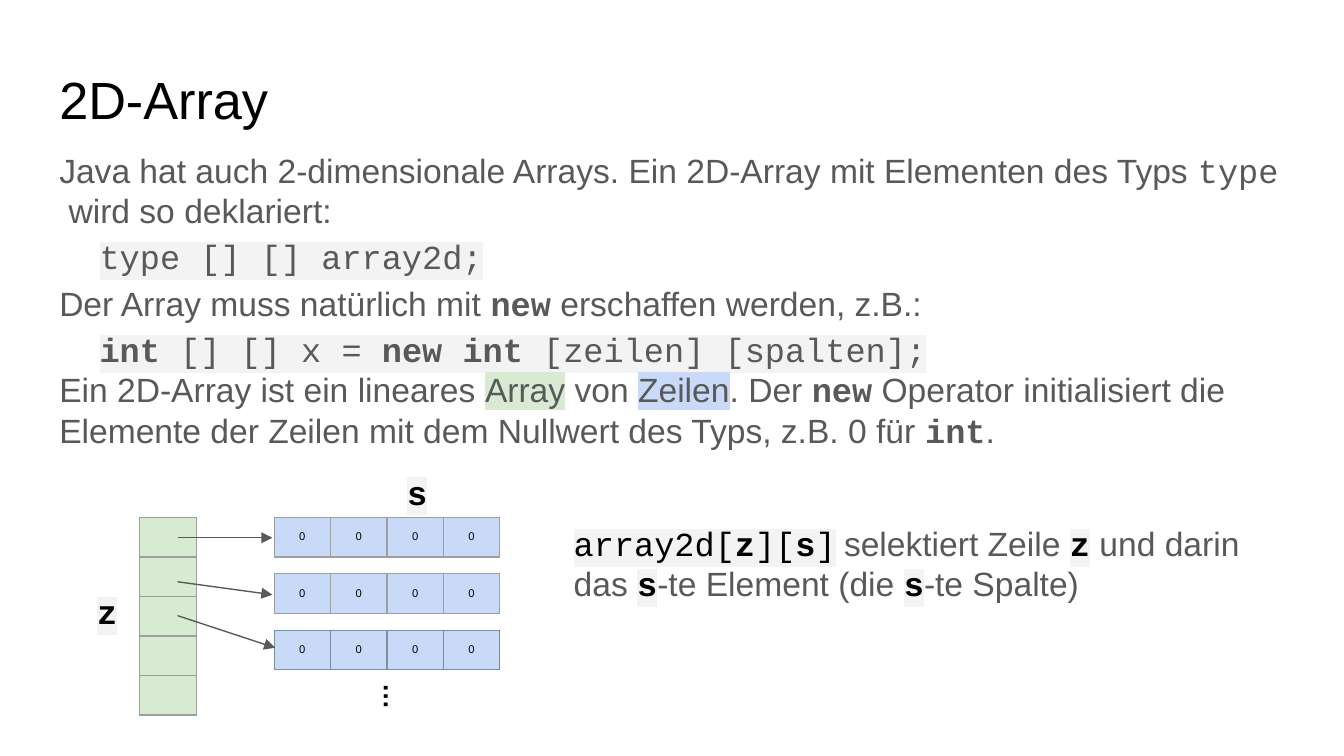
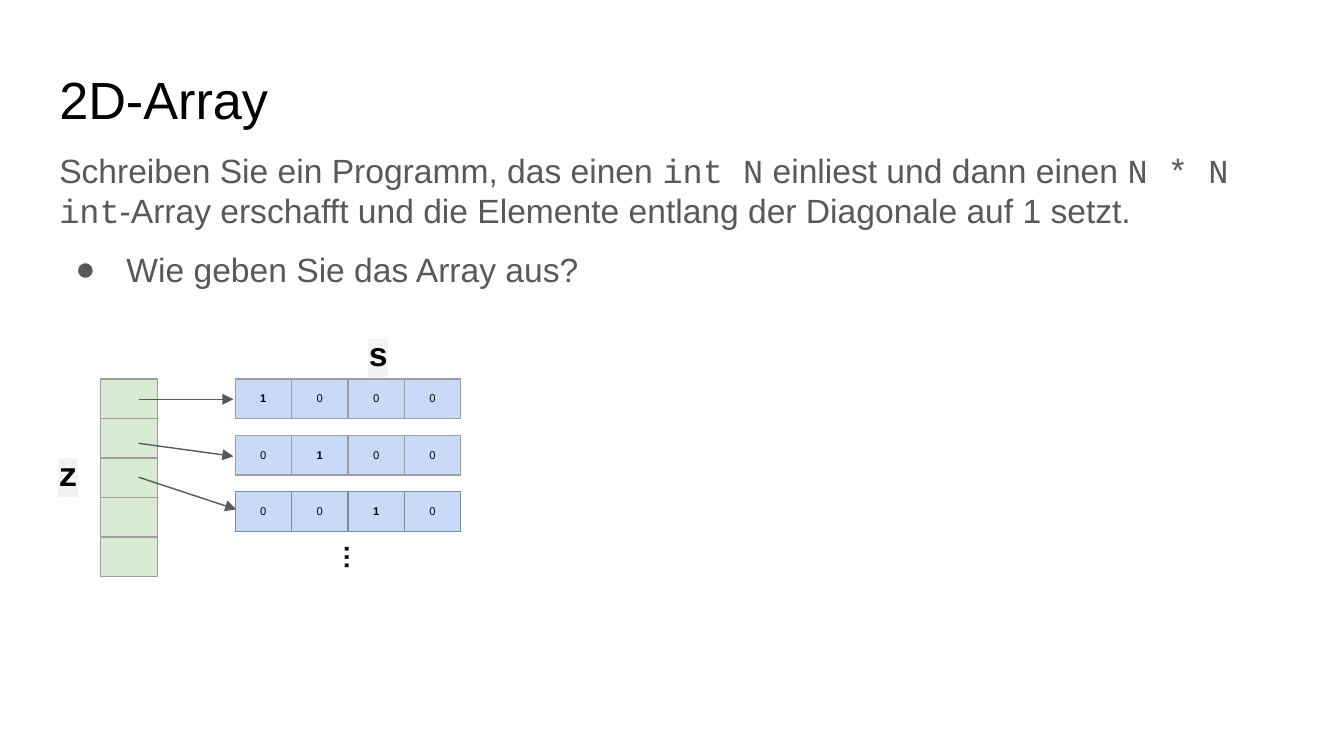
from lxml.etree import SubElement
from pptx import Presentation
from pptx.dml.color import RGBColor
from pptx.enum.shapes import MSO_CONNECTOR
from pptx.enum.text import MSO_ANCHOR, MSO_AUTO_SIZE, PP_ALIGN
from pptx.oxml.ns import qn
from pptx.util import Inches, Pt

WIDE = 10
HIGH = WIDE * 9 / 16
UNIT = 0.42  # cell width, and pitch of the rows in the diagram
CELL = 0.27  # least cell height, which the text stretches
TALL = 0.3   # share of a table's height for each row
PAD = 0.1
SANS, MONO = "Arial", "Courier New"
HUES = {"ink": "000000", "gray": "595959", "pale": "F3F3F3", "green": "D9EAD3",
        "blue": "C9DAF8", "edge": "9E9E9E", "steel": "78909C"}

STYLES = {
    "text": {},
    "code": {"font": MONO},
    "key": {"font": MONO, "bold": True},
    "line": {"font": MONO, "mark": "pale"},
    "word": {"font": MONO, "mark": "pale", "bold": True},
    "expr": {"font": MONO, "mark": "pale", "hue": "ink"},
    "index": {"font": MONO, "mark": "pale", "hue": "ink", "bold": True},
    "green": {"mark": "green"},
    "blue": {"mark": "blue"},
    "gap": {"size": 16},
    "title": {"size": 28, "hue": "ink"},
    "dots": {"size": 14, "hue": "ink", "bold": True},
    "zero": {"size": 6, "hue": "ink"},
    "one": {"size": 6, "hue": "ink", "bold": True},
}

DECLARE = [
    ({}, [("text", "Java hat auch 2-dimensionale Arrays. Ein 2D-Array mit Elementen des Typs "),
          ("code", "type"), ("text", "  wird so deklariert:")]),
    ({"space": 1.15, "left": 0.3}, [("line", "type [] [] array2d;")]),
    ({"space": 1.15}, [("text", "Der Array muss natürlich mit "), ("key", "new"),
                       ("text", " erschaffen werden, z.B.:")]),
    ({"space": 1.15, "left": 0.3}, [
        ("word", "int"), ("line", " [] [] x = "), ("word", "new"), ("line", " "),
        ("word", "int"), ("line", " [zeilen] [spalten];")]),
    ({}, [("text", "Ein 2D-Array ist ein lineares "), ("green", "Array"),
          ("text", " von "), ("blue", "Zeilen"), ("text", ". Der "), ("key", "new"),
          ("text", " Operator initialisiert die Elemente der Zeilen mit dem "
                   "Nullwert des Typs, z.B. 0 für "),
          ("key", "int"), ("text", ".")]),
]

SELECT = [({}, [
    ("expr", "array2d["), ("index", "z"), ("expr", "]["), ("index", "s"), ("expr", "]"),
    ("gap", " "), ("text", "selektiert Zeile "), ("index", "z"),
    ("text", " und darin das "), ("index", "s"), ("text", "-te Element (die "),
    ("index", "s"), ("text", "-te Spalte)")])]

TASK = [
    ({}, [("text", "Schreiben Sie ein Programm, das einen "), ("code", "int N"),
          ("text", " einliest und dann einen "), ("code", "N * N int"),
          ("text", "-Array erschafft und die Elemente entlang der Diagonale auf 1 setzt.")]),
    ({"left": 0.5, "hang": 0.38, "before": 10, "bullet": "●"},
     [("text", "Wie geben Sie das Array aus?")]),
]


def tint(name):
    return RGBColor.from_string(HUES[name])


def share(left, top, width, height):
    """Turn percentages of the slide into lengths."""
    return [Inches(part * full / 100)
            for part, full in zip((left, top, width, height), (WIDE, HIGH, WIDE, HIGH))]


def add_hue(node, name):
    SubElement(node, qn("a:srgbClr"), val=HUES[name])


def add_run(para, text, font=SANS, size=18, hue="gray", bold=False, mark=None):
    run = para.add_run()
    run.text = text
    run.font.size = Pt(size)
    run.font.bold = bold
    run.font.color.rgb = tint(hue)
    if mark:
        add_hue(SubElement(run.font._element, qn("a:highlight")), mark)
    run.font.name = font


def set_para(para, space=1.0, left=0, hang=0, before=0, bullet=None):
    para.alignment = PP_ALIGN.LEFT
    para.line_spacing = space
    para.space_before = Pt(before)
    para.space_after = Pt(0)
    props = para._p.get_or_add_pPr()
    props.set("marL", str(Inches(left)))
    props.set("indent", str(-Inches(hang)))
    if bullet:
        add_hue(SubElement(props, qn("a:buClr")), "gray")
        SubElement(props, qn("a:buChar"), char=bullet)
    else:
        SubElement(props, qn("a:buNone"))


def fill_text(shape, paras, anchor=MSO_ANCHOR.TOP):
    frame = shape.text_frame
    frame.word_wrap = True
    frame.auto_size = MSO_AUTO_SIZE.NONE
    frame.vertical_anchor = anchor
    frame.margin_left = frame.margin_right = Inches(PAD)
    frame.margin_top = frame.margin_bottom = Inches(PAD)
    for num, (form, runs) in enumerate(paras):
        para = frame.add_paragraph() if num else frame.paragraphs[0]
        set_para(para, **form)
        for style, text in runs:
            add_run(para, text, **STYLES[style])


def place(shape, box):
    shape.left, shape.top, shape.width, shape.height = box


def add_page(deck, body, height):
    slide = deck.slides.add_slide(deck.slide_layouts[1])
    title, main_text = slide.placeholders
    place(title, share(3.41, 7.1, 93.2, 11.2))
    fill_text(title, [({}, [("title", "2D-Array")])])
    place(main_text, share(3.41, 18, 93.2, height))
    fill_text(main_text, body)
    return slide


def fill_cell(cell, text, fill, edge):
    cell.margin_left = cell.margin_right = Inches(PAD)
    cell.margin_top = cell.margin_bottom = Inches(PAD)
    para = cell.text_frame.paragraphs[0]
    para.alignment = PP_ALIGN.CENTER
    if text:
        add_run(para, text, **STYLES["one" if text == "1" else "zero"])
    else:
        end = SubElement(para._p, qn("a:endParaRPr"), sz="600")
        SubElement(end, qn("a:latin"), typeface=SANS)
    props = cell._tc.get_or_add_tcPr()
    for side in "LRTB":
        line = SubElement(props, qn(f"a:ln{side}"), w=str(Pt(0.75)))
        add_hue(SubElement(line, qn("a:solidFill")), edge)
    cell.fill.solid()
    cell.fill.fore_color.rgb = tint(fill)


def add_cells(slide, spot, rows, fill, edge="edge"):
    tall, wide = len(rows), len(rows[0])
    frame = slide.shapes.add_table(tall, wide, *spot, Inches(wide * UNIT),
                                   Inches(tall * CELL))
    table = frame.table
    table.first_row = table.horz_banding = False
    for row, texts in enumerate(rows):
        for col, text in enumerate(texts):
            fill_cell(table.cell(row, col), text, fill, edge)
    frame.height = Inches(tall * TALL)


def add_arrow(slide, start, end):
    line = slide.shapes.add_connector(MSO_CONNECTOR.STRAIGHT, *start, *end)
    line.line.color.rgb = tint("gray")
    line.line.width = Pt(0.75)
    SubElement(line.line._get_or_add_ln(), qn("a:tailEnd"), type="triangle")
    SubElement(line._element.spPr, qn("a:effectLst"))


def add_label(slide, spot, width, height, style, text, turn=0):
    box = slide.shapes.add_textbox(*spot, Inches(width), Inches(height))
    box.rotation = turn
    fill_text(box, [({}, [(style, text)])])


def add_array(slide, left, top, rows):
    """Draw the column of references and its rows, with its corner in inches."""
    def at(col, row):
        return Inches(left + col * UNIT), Inches(top + row * UNIT)

    add_label(slide, at(4.5, -1.05), 0.35, 0.47, "index", "s")
    add_label(slide, at(-0.99, 1.07), 0.35, 0.47, "index", "z")
    add_cells(slide, at(0, 0), [[""]] * 5, "green")
    for num, row in enumerate(rows):
        edge = "steel" if num == len(rows) - 1 else "edge"
        add_cells(slide, at(2.38, num), [row], "blue", edge)
    add_label(slide, at(4.11, 2.79), 0.42, 0.35, "dots", "…", 90)
    for start, end in (((0.67, 0.36), (2.35, 0.36)),
                       ((0.67, 1.14), (2.35, 1.37)),
                       ((0.67, 1.74), (2.4, 2.31))):
        add_arrow(slide, at(*start), at(*end))


def main():
    deck = Presentation()
    deck.slide_width, deck.slide_height = Inches(WIDE), Inches(HIGH)

    slide = add_page(deck, DECLARE, 46)
    add_array(slide, 1.04, 3.85, ["0000"] * 3)
    note = slide.shapes.add_textbox(*share(41.7, 67, 54.9, 15))
    fill_text(note, SELECT, MSO_ANCHOR.MIDDLE)

    slide = add_page(deck, TASK, 24.2)
    add_array(slide, 0.75, 2.82, ["1000", "0100", "0010"])

    deck.save("out.pptx")


if __name__ == "__main__":
    main()
